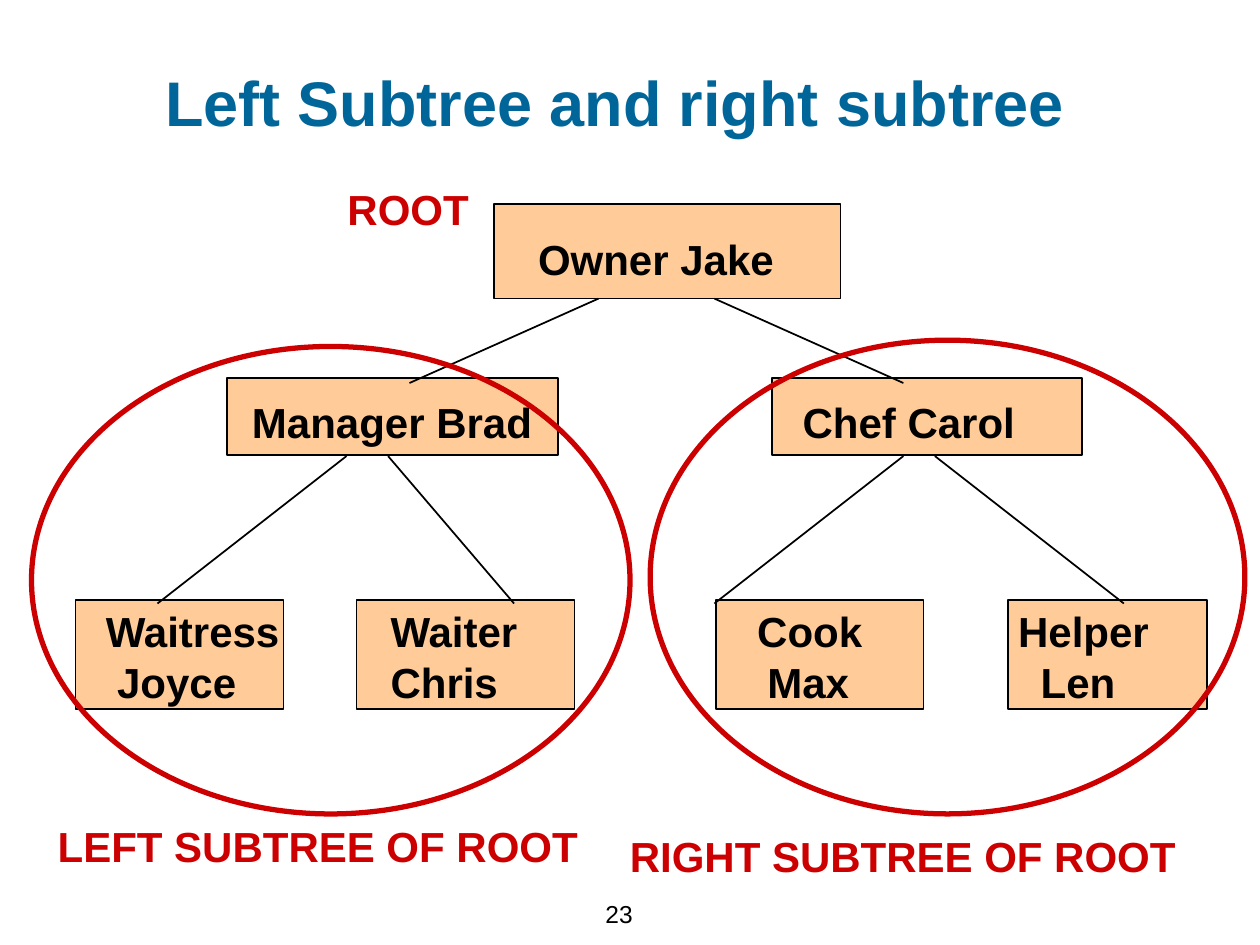
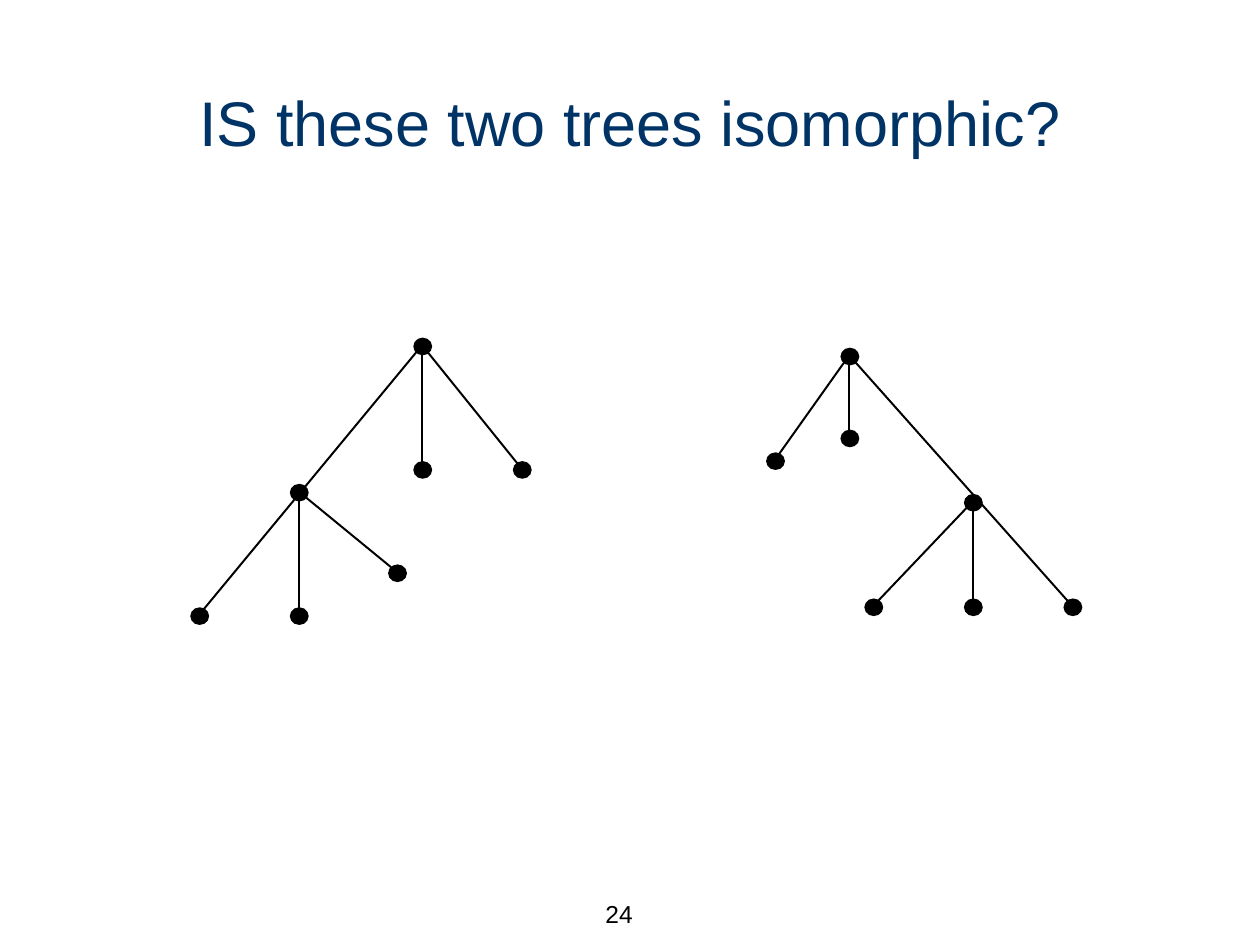
import pptx
import pptx.util
import pptx.dml.color
import pptx.enum.shapes
import pptx.enum.text
import pptx.oxml.ns
import lxml.etree

Inches = pptx.util.Inches
SHAPES = pptx.enum.shapes.MSO_SHAPE
ALIGN = pptx.enum.text.PP_ALIGN
ANCHOR = pptx.enum.text.MSO_ANCHOR

BLACK, RED, PEACH = "000000", "CC0000", "FFCC99"
TEAL, NAVY = "006699", "003366"
LABEL = {"size": pptx.util.Pt(24), "bold": True}
TITLE = {"size": pptx.util.Pt(36)}
PAGE_NUMBER = {"size": pptx.util.Pt(14), "bold": False}
MARGINS = {"margin_left": Inches(0.1), "margin_right": Inches(0.1),
           "margin_top": Inches(0.05), "margin_bottom": Inches(0.05)}


def rgb(color):
    return pptx.dml.color.RGBColor.from_string(color)


def set_all(target, values):
    for name, value in values.items():
        setattr(target, name, value)


def write(frame, lines, font, color, align=ALIGN.LEFT, indents=(), **layout):
    """Fill a text frame with one paragraph per line, each with its own indent."""
    set_all(frame, {"word_wrap": True, "vertical_anchor": ANCHOR.TOP, **MARGINS, **layout})
    frame.text = "\n".join(lines)
    for paragraph in frame.paragraphs:
        paragraph.alignment = align
        set_all(paragraph.font, {"name": "Arial", **font})
        paragraph.font.color.rgb = rgb(color)
    for paragraph, indent in zip(frame.paragraphs, indents):
        properties = paragraph._p.get_or_add_pPr()
        properties.set("marL", str(Inches(indent)))
        properties.set("indent", "0")


def add_text(slide, box, text, font, color, **layout):
    textbox = slide.shapes.add_textbox(*map(Inches, box))
    write(textbox.text_frame, [text], font, color, **layout)


def add_figure(shapes, kind, box, fill=None, line=None, width=1):
    figure = shapes.add_shape(kind, *map(Inches, box))
    figure.shadow.inherit = False
    if fill:
        figure.fill.solid()
        figure.fill.fore_color.rgb = rgb(fill)
    else:
        figure.fill.background()
    if line:
        figure.line.color.rgb = rgb(line)
        figure.line.width = pptx.util.Pt(width)
    else:
        figure.line.fill.background()
    return figure


def add_edge(shapes, start, end, width=1):
    edge = shapes.add_connector(pptx.enum.shapes.MSO_CONNECTOR.STRAIGHT,
                                *map(Inches, (*start, *end)))
    edge.line.color.rgb = rgb(BLACK)
    edge.line.width = pptx.util.Pt(width)
    lxml.etree.SubElement(edge._element.spPr, pptx.oxml.ns.qn("a:effectLst"))


def add_slide(deck, title, box, color, bold, number):
    """Start a slide with its title and page number."""
    slide = deck.slides.add_slide(deck.slide_layouts[5])
    heading = slide.shapes.title
    set_all(heading, dict(zip(("left", "top", "width", "height"), map(Inches, box))))
    write(heading.text_frame, [title], {**TITLE, "bold": bold}, color, ALIGN.CENTER,
          auto_size=pptx.enum.text.MSO_AUTO_SIZE.NONE)
    add_text(slide, (4.45, 7, 0.67, 0.5), str(number), PAGE_NUMBER, BLACK,
             align=ALIGN.RIGHT, vertical_anchor=ANCHOR.MIDDLE)
    return slide


def add_person(slide, box, lines, indents, top=0.05):
    person = add_figure(slide.shapes, SHAPES.RECTANGLE, box, PEACH, BLACK)
    write(person.text_frame, lines, LABEL, BLACK, indents=indents,
          margin_left=0, margin_right=0, margin_top=Inches(top))


def add_staff_tree(slide):
    # Bottom row
    leaf_top, leaf_height = 4.76, 0.87
    for left, width, lines, indents in (
            (0.6, 1.65, ("Waitress", "Joyce"), (0.24, 0.33)),
            (2.83, 1.73, ("Waiter", "Chris"), (0.27, 0.27)),
            (5.68, 1.65, ("Cook", "Max"), (0.33, 0.41)),
            (8, 1.58, ("Helper", "Len"), (0.08, 0.26))):
        add_person(slide, (left, leaf_top, width, leaf_height), lines, indents)

    # Root and its two children
    add_person(slide, (3.92, 1.62, 2.75, 0.75), ["Owner Jake"], [0.35], 0.23)
    add_person(slide, (1.8, 3, 2.63, 0.61), ["Manager Brad"], [0.2], 0.15)
    add_person(slide, (6.13, 3, 2.46, 0.61), ["Chef Carol"], [0.24], 0.15)

    # Edges of each level, as pairs of start and end across the slide
    for top, bottom, spans in (
            (2.37, 3.04, ((4.75, 3.25), (5.67, 7.17))),
            (3.62, 4.79, ((2.75, 1.25), (7.17, 5.67), (3.08, 4.08), (7.42, 8.92)))):
        for start, end in spans:
            add_edge(slide.shapes, (start, top), (end, bottom))


def add_subtree_marks(slide):
    for ring in ((0.25, 2.75, 4.75, 3.71), (5.16, 2.7, 4.72, 3.76)):
        add_figure(slide.shapes, SHAPES.OVAL, ring, line=RED, width=3)
    for box, caption in (((2.66, 1.41, 1.16, 0.5), "ROOT"),
                         ((0.36, 6.46, 4.5, 0.5), "LEFT SUBTREE OF ROOT"),
                         ((4.9, 6.54, 4.92, 0.5), "RIGHT SUBTREE OF ROOT")):
        add_text(slide, box, caption, LABEL, RED)


def add_dot_tree(slide, left, top, dots, edges):
    """Draw a tree as one group; dots are offsets from its top left corner."""
    tree = slide.shapes.add_group_shape().shapes
    centers = {name: (left + x + 0.07, top + y + 0.06) for name, (x, y) in dots.items()}
    for parent, child in edges:
        add_edge(tree, centers[parent], centers[child], 1.13)
    for x, y in dots.values():
        add_figure(tree, SHAPES.OVAL, (left + x, top + y, 0.15, 0.14), BLACK)


def build_subtree_slide(deck):
    slide = add_slide(deck, "Left Subtree and right subtree",
                      (0.98, 0.45, 7.8, 0.7), TEAL, True, 23)
    add_staff_tree(slide)
    add_subtree_marks(slide)


def build_isomorphic_slide(deck):
    slide = add_slide(deck, "IS these two trees isomorphic?",
                      (0.5, 0.61, 9, 0.77), NAVY, False, 24)
    # The edge from the root to an outer leaf runs through the inner node
    add_dot_tree(slide, 1.51, 2.68, {
        "root": (1.77, 0), "middle": (1.77, 0.98), "right": (2.56, 0.98),
        "inner": (0.79, 1.16), "outer leaf": (0, 2.14),
        "middle leaf": (0.79, 2.14), "right leaf": (1.57, 1.8),
    }, (("root", "outer leaf"), ("root", "middle"), ("root", "right"),
        ("inner", "middle leaf"), ("inner", "right leaf")))
    add_dot_tree(slide, 6.08, 2.76, {
        "root": (0.59, 0), "left": (0, 0.83), "middle": (0.59, 0.65),
        "inner": (1.57, 1.16), "left leaf": (0.78, 1.99),
        "middle leaf": (1.57, 1.99), "outer leaf": (2.36, 1.99),
    }, (("root", "left"), ("root", "middle"), ("root", "outer leaf"),
        ("inner", "left leaf"), ("inner", "middle leaf")))


def main():
    deck = pptx.Presentation()
    deck.slide_width, deck.slide_height = Inches(10), Inches(7.5)
    build_subtree_slide(deck)
    build_isomorphic_slide(deck)
    deck.save("out.pptx")


if __name__ == "__main__":
    main()
